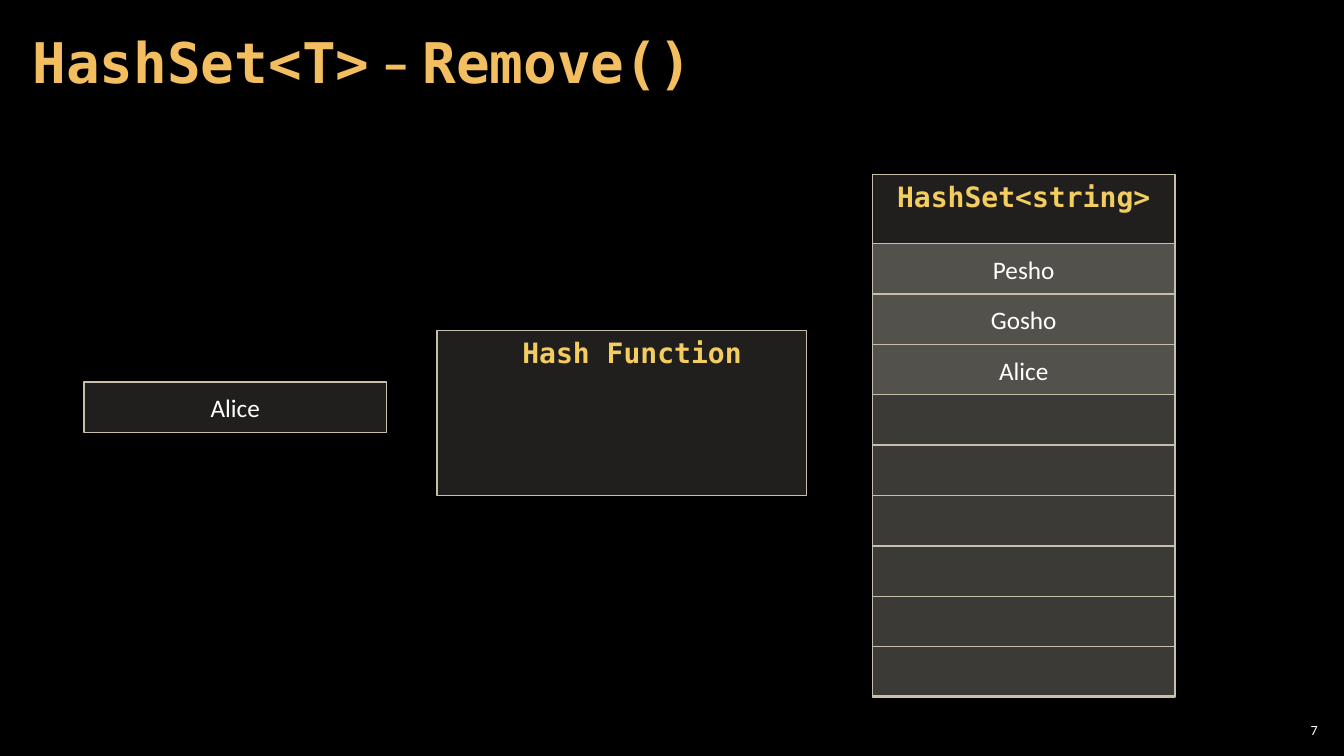
from dataclasses import dataclass

from lxml.etree import SubElement
from pptx import Presentation
from pptx.dml.color import RGBColor
from pptx.enum.shapes import MSO_SHAPE
from pptx.enum.text import MSO_ANCHOR, MSO_AUTO_SIZE, PP_ALIGN
from pptx.oxml.ns import qn
from pptx.slide import Slide
from pptx.text.text import TextFrame
from pptx.util import Pt

PX = 9525  # EMU per px, 96 px to the inch
COLORS = {
    "background": "000000",
    "panel": "D9D5C7",
    "border": "C7BFAC",
    "title": "F3BE60",
    "label": "F3CD60",
    "text": "FFFFFF",
}
BODY, MONO = "Calibri", "DejaVu Sans Mono"
PANEL_ALPHA = 15  # percent


@dataclass(frozen=True)
class Box:
    x: int
    y: int
    w: int
    h: int

    def emu(self) -> tuple[int, ...]:
        return tuple(v * PX for v in (self.x, self.y, self.w, self.h))


@dataclass(frozen=True)
class Label:
    text: str
    box: Box


# Hash table geometry
TABLE = Box(831, 166, 288, 497)
ROW_TOP, ROW_H, ROW_COUNT = 232, 48, 9
ROWS = [Box(TABLE.x, ROW_TOP + i * ROW_H, TABLE.w, ROW_H) for i in range(ROW_COUNT)]
FUNCTION = Box(416, 315, 352, 157)

PANELS = [TABLE, *ROWS, FUNCTION]
HEADINGS = [
    Label("HashSet<string>", Box(TABLE.x, TABLE.y, 288, 74)),
    Label("Hash Function", Box(458, FUNCTION.y, 288, 74)),
]
ITEMS = [Label(name, row) for name, row in zip(("Pesho", "Gosho", "Alice"), ROWS)]
ITEMS.append(Label("Alice", Box(80, 364, 288, 48)))
TITLE_RUNS = [("HashSet<T>", MONO), (" – ", BODY), ("Remove()", MONO)]


def rgb(name: str) -> RGBColor:
    return RGBColor.from_string(COLORS[name])


def write(tf: TextFrame, text: str, *, size: int, font: str = BODY, color: str = "text",
          bold: bool = False, align: PP_ALIGN = PP_ALIGN.CENTER,
          anchor: MSO_ANCHOR = MSO_ANCHOR.TOP, inset: tuple[int, int] = (10, 5)) -> None:
    """Append a formatted run; inset is (horizontal, vertical) in px."""
    tf.word_wrap = True
    tf.auto_size = MSO_AUTO_SIZE.NONE
    tf.vertical_anchor = anchor
    tf.margin_left = tf.margin_right = inset[0] * PX
    tf.margin_top = tf.margin_bottom = inset[1] * PX
    p = tf.paragraphs[0]
    p.alignment = align
    r = p.add_run()
    r.text = text
    r.font.size, r.font.name, r.font.bold = Pt(size), font, bold
    r.font.color.rgb = rgb(color)


def add_panel(s: Slide, box: Box) -> TextFrame:
    sp = s.shapes.add_shape(MSO_SHAPE.RECTANGLE, *box.emu())
    sp.shadow.inherit = False
    sp.fill.solid()
    sp.fill.fore_color.rgb = rgb("panel")
    fill = sp.element.spPr.find(qn("a:solidFill"))
    SubElement(fill[0], qn("a:alpha"), val=str(PANEL_ALPHA * 1000))
    sp.line.color.rgb = rgb("border")
    sp.line.width = Pt(1)
    return sp.text_frame


def add_title(s: Slide, box: Box) -> None:
    sp = s.shapes.title
    sp.left, sp.top, sp.width, sp.height = box.emu()
    for text, font in TITLE_RUNS:
        write(sp.text_frame, text, size=40, font=font, color="title", bold=True,
              align=PP_ALIGN.LEFT, anchor=MSO_ANCHOR.MIDDLE, inset=(11, 4))
    sp.text_frame.paragraphs[0].line_spacing = 0.9


def main() -> None:
    prs = Presentation()
    prs.slide_width, prs.slide_height = 1280 * PX, 720 * PX
    s = prs.slides.add_slide(prs.slide_layouts[5])
    s.background.fill.solid()
    s.background.fill.fore_color.rgb = rgb("background")

    add_title(s, Box(20, 4, 1005, 116))

    # Hash table and hash function
    for box in PANELS:
        add_panel(s, box)
    for label in HEADINGS:
        tf = s.shapes.add_textbox(*label.box.emu()).text_frame
        write(tf, label.text, size=20, font=MONO, color="label", bold=True)

    # Stored items and the item to remove
    for item in ITEMS:
        write(add_panel(s, item.box), item.text, size=18, inset=(19, 10))

    # Slide number
    tf = s.shapes.add_textbox(*Box(1214, 685, 45, 20).emu()).text_frame
    write(tf, "7", size=10, align=PP_ALIGN.RIGHT, anchor=MSO_ANCHOR.MIDDLE, inset=(4, 4))

    prs.save("out.pptx")


if __name__ == "__main__":
    main()
